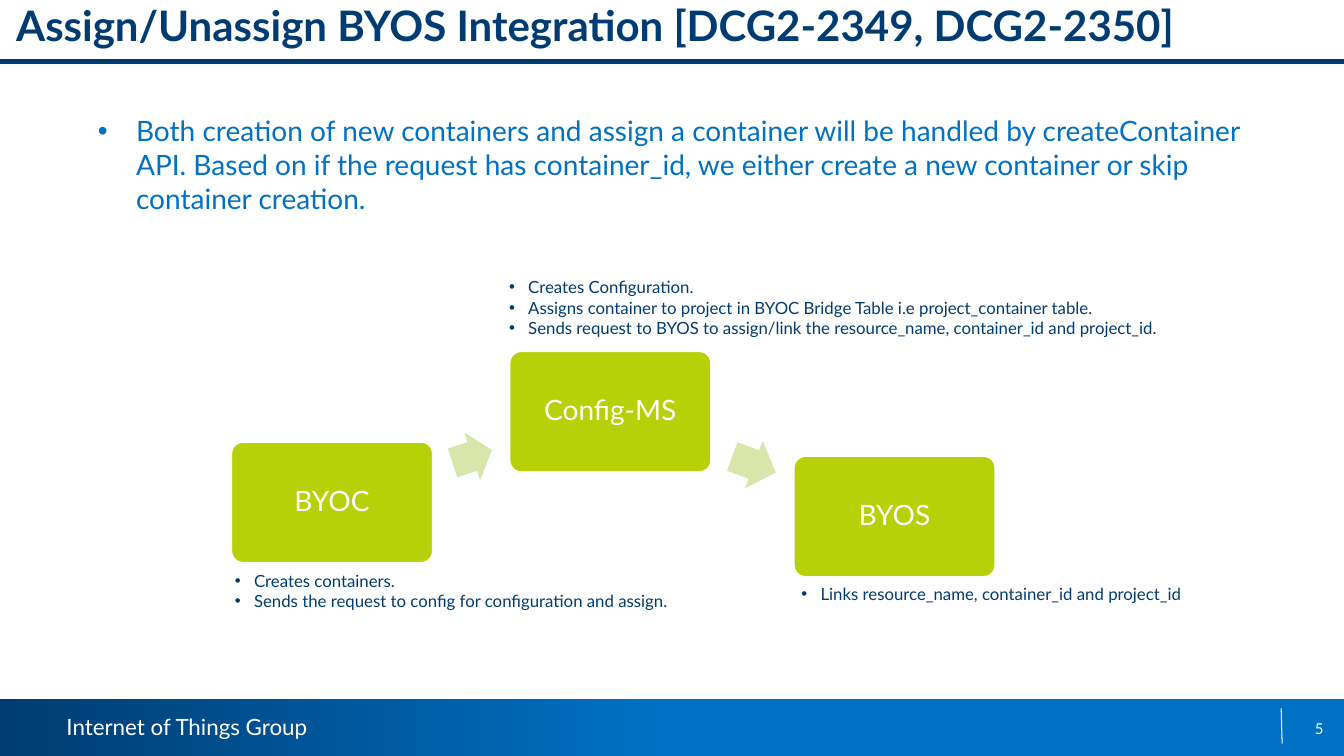
from dataclasses import dataclass

from lxml import etree
from pptx import Presentation
from pptx import util as u
from pptx.dml import color
from pptx.enum import shapes, text
from pptx.oxml import ns


@dataclass(frozen=True)
class Theme:
    font: str = "Lato"
    navy: str = "003C71"
    blue: str = "0071C5"
    green: str = "B7D108"
    pale_green: str = "D8E5AB"
    white: str = "FFFFFF"
    title_size: float = 30
    body_size: float = 20
    footer_size: float = 16
    note_size: float = 12
    page_size: float = 10.7


@dataclass(frozen=True)
class Box:
    column: float
    row: float
    columns: float
    rows: float


@dataclass(frozen=True)
class Step:
    name: str
    card: Box
    note: Box
    actions: tuple[str, ...]


@dataclass(frozen=True)
class Arrow:
    box: Box
    rotation: float


@dataclass(frozen=True)
class Rule:
    start: tuple[float, float]
    end: tuple[float, float]
    color: str
    width: float


THEME = Theme()
GRID_COLUMNS = 40
CARD_SIZE = (6.03, 3.63)
NOTE_SIZE = (3, 3)

STEPS = (
    Step("BYOC", Box(6.87, 13.14, *CARD_SIZE), Box(6.99, 16.98, *NOTE_SIZE), (
        "Creates containers.",
        "Sends the request to config for configuration and assign.",
    )),
    Step("Config-MS", Box(15.15, 10.44, *CARD_SIZE), Box(15.15, 8.25, *NOTE_SIZE), (
        "Creates Configuration.",
        "Assigns container to project in BYOC Bridge Table i.e project_container table.",
        "Sends request to BYOS to assign/link the resource_name, container_id and project_id.",
    )),
    Step("BYOS", Box(23.61, 13.56, *CARD_SIZE), Box(23.85, 17.37, *NOTE_SIZE), (
        "Links resource_name, container_id and project_id",
    )),
)
ARROWS = (
    Arrow(Box(13.44, 12.84, 1.23, 1.5), 341.9),
    Arrow(Box(21.75, 13.08, 1.38, 1.5), 20.3),
)
RULES = (
    Rule((38.13, 21.09), (38.16, 22.14), THEME.white, 0.75),
    Rule((0, 1.83), (GRID_COLUMNS, 1.83), THEME.navy, 3.5),
)

presentation = Presentation()
presentation.slide_width = u.Inches(13.33)
presentation.slide_height = u.Inches(7.5)
CELL = presentation.slide_width / GRID_COLUMNS
slide = presentation.slides.add_slide(presentation.slide_layouts[1])


def cells(*counts: float) -> list[int]:
    return [round(count * CELL) for count in counts]


def place(box: Box) -> list[int]:
    return cells(box.column, box.row, box.columns, box.rows)


def rgb(value: str) -> color.RGBColor:
    return color.RGBColor.from_string(value)


def prepare_frame(frame, wrap: bool = True, inset: float = 0,
                  anchor=text.MSO_ANCHOR.TOP, auto_size=text.MSO_AUTO_SIZE.NONE) -> None:
    frame.word_wrap = wrap
    frame.auto_size = auto_size
    frame.vertical_anchor = anchor
    frame.margin_left = frame.margin_right = u.Inches(inset)
    frame.margin_top = frame.margin_bottom = u.Inches(inset)


def add_run(paragraph, words: str, size: float, ink: str,
            align=text.PP_ALIGN.LEFT, bold: bool = False) -> None:
    paragraph.alignment = align
    run = paragraph.add_run()
    run.text = words
    run.font.name = THEME.font
    run.font.size = u.Pt(size)
    run.font.bold = bold
    run.font.color.rgb = rgb(ink)


def add_bullet(paragraph, indent: float) -> None:
    properties = paragraph._p.get_or_add_pPr()
    properties.set("marL", str(u.Inches(indent)))
    properties.set("indent", str(-u.Inches(indent)))
    etree.SubElement(properties, ns.qn("a:buFont")).set("typeface", "Arial")
    etree.SubElement(properties, ns.qn("a:buChar")).set("char", "•")


def add_shape(kind, box: Box, fill: str):
    shape = slide.shapes.add_shape(kind, *place(box))
    shape.shadow.inherit = False
    shape.fill.solid()
    shape.fill.fore_color.rgb = rgb(fill)
    shape.line.fill.background()
    return shape


def add_rule(rule: Rule) -> None:
    connector = slide.shapes.add_connector(
        shapes.MSO_CONNECTOR.STRAIGHT, *cells(*rule.start, *rule.end))
    connector.line.color.rgb = rgb(rule.color)
    connector.line.width = u.Pt(rule.width)
    etree.SubElement(connector._element.spPr, ns.qn("a:effectLst"))


def add_label(box: Box, words: str, size: float, align=text.PP_ALIGN.LEFT, **frame_options) -> None:
    frame = slide.shapes.add_textbox(*place(box)).text_frame
    prepare_frame(frame, **frame_options)
    add_run(frame.paragraphs[0], words, size, THEME.white, align)


def add_card(step: Step) -> None:
    card = add_shape(shapes.MSO_SHAPE.ROUNDED_RECTANGLE, step.card, THEME.green)
    card.adjustments[0] = 0.1
    card.line.color.rgb = rgb(THEME.white)
    card.line.width = u.Pt(2)
    prepare_frame(card.text_frame, inset=0.08, anchor=text.MSO_ANCHOR.MIDDLE)
    paragraph = card.text_frame.paragraphs[0]
    paragraph.line_spacing = 0.9
    add_run(paragraph, step.name, THEME.body_size, THEME.white, text.PP_ALIGN.CENTER)


def add_arrow(arrow: Arrow) -> None:
    shape = add_shape(shapes.MSO_SHAPE.RIGHT_ARROW, arrow.box, THEME.pale_green)
    shape.adjustments[0] = 0.6
    shape.adjustments[1] = 0.5
    shape.rotation = arrow.rotation


def add_note(step: Step) -> None:
    frame = slide.shapes.add_textbox(*place(step.note)).text_frame
    prepare_frame(frame, wrap=False)
    for index, action in enumerate(step.actions):
        paragraph = frame.add_paragraph() if index else frame.paragraphs[0]
        add_run(paragraph, action, THEME.note_size, THEME.navy)
        add_bullet(paragraph, 0.19)


def fill_placeholder(shape, box: Box, words: str, size: float, ink: str,
                     bold: bool = False, inset: float = 0):
    shape.left, shape.top, shape.width, shape.height = place(box)
    prepare_frame(shape.text_frame, inset=inset)
    paragraph = shape.text_frame.paragraphs[0]
    add_run(paragraph, words, size, ink, bold=bold)
    return paragraph


footer = add_shape(shapes.MSO_SHAPE.RECTANGLE, Box(0, 20.82, GRID_COLUMNS, 1.68), THEME.navy)
footer.fill.gradient()
footer.fill.gradient_angle = 0
for stop, position, shade in zip(footer.fill.gradient_stops, (0, 0.5), (THEME.navy, THEME.blue)):
    stop.position = position
    stop.color.rgb = rgb(shade)
add_label(Box(1.98, 21.24, 7.5, 0.81), "Internet of Things Group", THEME.footer_size,
          wrap=False, auto_size=text.MSO_AUTO_SIZE.SHAPE_TO_FIT_TEXT)
for rule in RULES:
    add_rule(rule)
add_label(Box(30.06, 21.09, 9.33, 1.2), "5", THEME.page_size, text.PP_ALIGN.RIGHT,
          anchor=text.MSO_ANCHOR.MIDDLE)

fill_placeholder(slide.shapes.title, Box(0.48, 0, 36, 2.19),
                 "Assign/Unassign BYOS Integration [DCG2-2349, DCG2-2350]",
                 THEME.title_size, THEME.navy, bold=True)
summary = fill_placeholder(
    slide.placeholders[1], Box(2.67, 3.15, 34.5, 15.72),
    "Both creation of new containers and assign a container will be handled by "
    "createContainer API. Based on if the request has container_id, we either create "
    "a new container or skip container creation.",
    THEME.body_size, THEME.blue, inset=0.08)
summary.space_before = u.Pt(16)
add_bullet(summary, 0.38)

for step in STEPS:
    add_card(step)
    add_note(step)
for arrow in ARROWS:
    add_arrow(arrow)

presentation.save("out.pptx")
